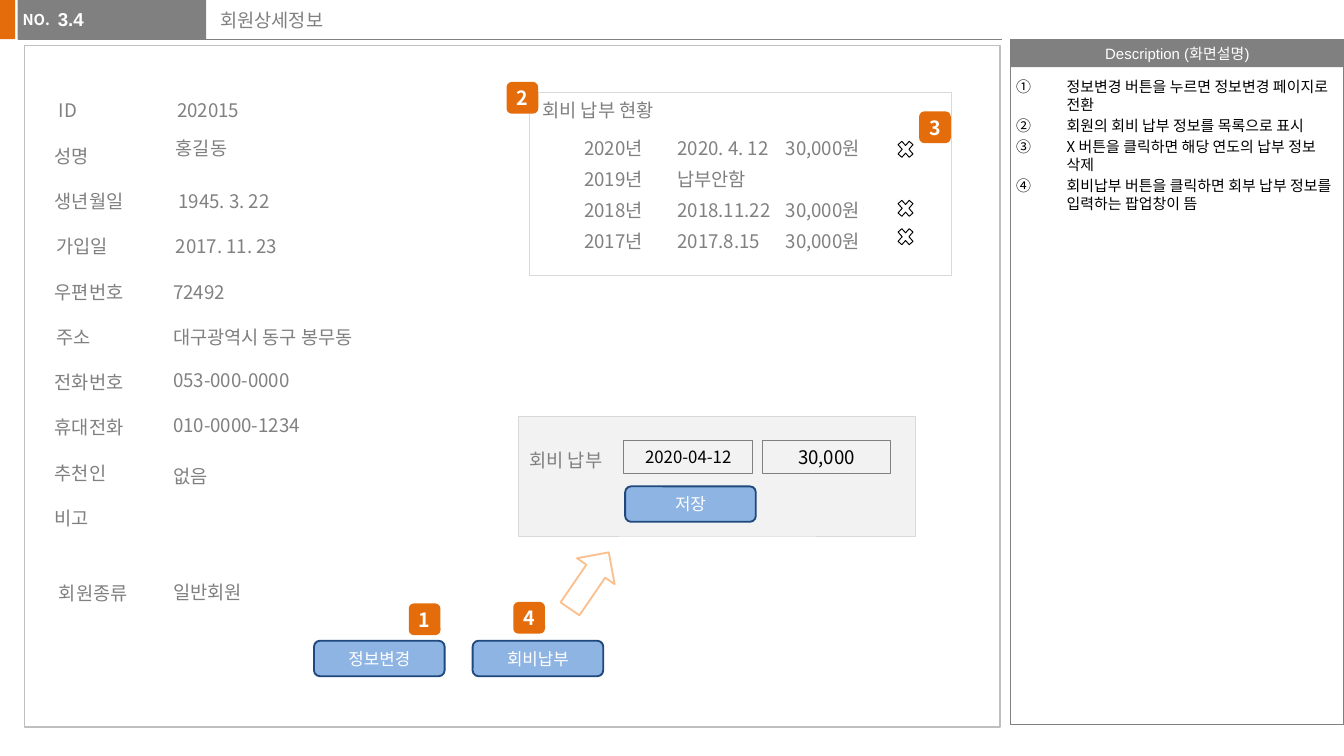
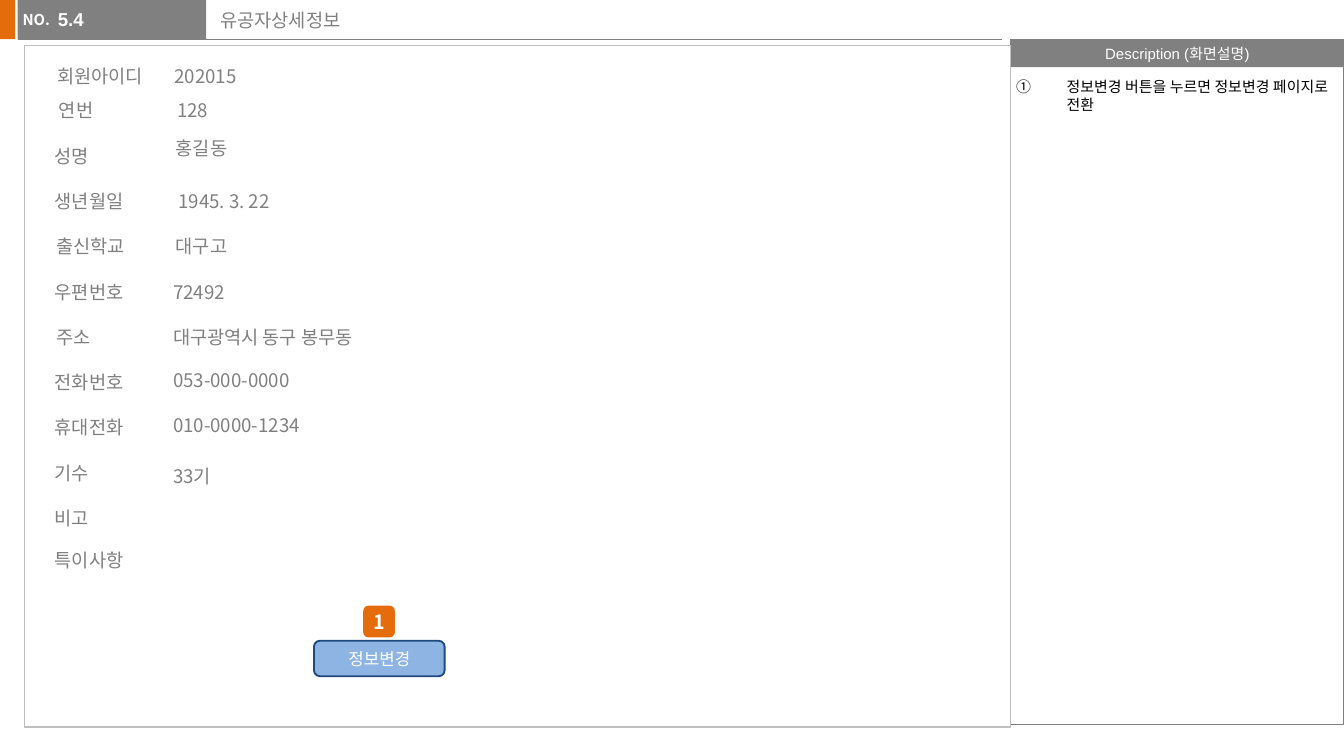
from lxml import etree
from pptx import Presentation
from pptx.dml.color import RGBColor
from pptx.enum.shapes import MSO_CONNECTOR, MSO_SHAPE
from pptx.enum.text import MSO_ANCHOR, MSO_AUTO_SIZE, PP_ALIGN
from pptx.oxml.ns import qn
from pptx.util import Pt

RECT, ROUNDED = MSO_SHAPE.RECTANGLE, MSO_SHAPE.ROUNDED_RECTANGLE
CROSS, ARROW = MSO_SHAPE.MATH_MULTIPLY, MSO_SHAPE.RIGHT_ARROW
STRAIGHT = MSO_CONNECTOR.STRAIGHT
TOP, MIDDLE = MSO_ANCHOR.TOP, MSO_ANCHOR.MIDDLE
LEFT, CENTER = PP_ALIGN.LEFT, PP_ALIGN.CENTER
GROW = MSO_AUTO_SIZE.SHAPE_TO_FIT_TEXT

ORANGE = RGBColor(0xE4, 0x6C, 0x0A)
PEACH = RGBColor(0xFA, 0xC0, 0x90)
GRAY = RGBColor(0x80, 0x80, 0x80)
SILVER = RGBColor(0xBF, 0xBF, 0xBF)
LIGHT = RGBColor(0xD9, 0xD9, 0xD9)
PALE = RGBColor(0xF2, 0xF2, 0xF2)
BLUE = RGBColor(0x8E, 0xB4, 0xE3)
NAVY = RGBColor(0x1F, 0x49, 0x7D)
WHITE = RGBColor(0xFF, 0xFF, 0xFF)
BLACK = RGBColor(0x00, 0x00, 0x00)

KOREAN, LATIN = "Noto Sans CJK KR", "Arial"
PLAIN_INSETS = (7.2, 3.6, 7.2, 3.6)
FLAT_INSETS = (0, 3.6, 0, 3.6)

HEADER_BOX = (0, 0, 537, 21)
NOTES_BOX = (541.5, 21, 178.5, 367)
SCREEN_LEFT, SCREEN_TOP, SCREEN_HEIGHT = 13, 24.5, 365
FIELD_TOP, FIELD_PITCH = 25.2, 24.25
LABEL_LEFT, VALUE_LEFT = 9.3, 72.7
BUTTON_SIZE = (70, 19)
BADGE_SIZE = 17

# label, value, row, label shift, value shift, value drop, value width
SHARED_FIELDS = [
    ("성명", "홍길동", 1, 0, 1.4, -4, 73),
    ("생년월일", "1945. 3. 22", 2, 0, 2.9, 0, 73),
    ("우편번호", "72492", 4, 0, 0, 0, 73),
    ("주소", "대구광역시 동구 봉무동", 5, 0.7, 0, 0, 161),
    ("전화번호", "053-000-0000", 6, 0, 0, -1, 93),
    ("휴대전화", "010-0000-1234", 7, 0, 0, -1, 93),
    ("비고", "", 9, 0, 0, 0, 73),
]
MEMBER_FIELDS = SHARED_FIELDS + [
    ("ID", "202015", 0, 2.2, 2.1, 0, 73),
    ("가입일", "2017. 11. 23", 3, 0.7, 1.4, 0, 73),
    ("추천인", "없음", 8, 0, 0, 2, 73),
    ("회원종류", "일반회원", 10.66, 2.2, 0, -0.8, 73),
]
HONOREE_FIELDS = SHARED_FIELDS + [
    ("회원아이디", "202015", -0.77, 1.4, 0.7, 0, 73),
    ("연번", "128", 0, 2.2, 2.1, 0, 73),
    ("출신학교", "대구고", 3, 0.7, 1.4, 0, 73),
    ("기수", "33기", 8, 0, 0, 2, 73),
    ("특이사항", "", 9.92, 0, 0, 0, 73),
]
FEE_ROWS = [
    "2020년\t2020. 4. 12\t30,000원",
    "2019년\t납부안함",
    "2018년\t2018.11.22\t30,000원",
    "2017년\t2017.8.15\t30,000원",
]
CHANGE_NOTE = "정보변경 버튼을 누르면 정보변경 페이지로 전환"
MEMBER_NOTES = [
    CHANGE_NOTE,
    "회원의 회비 납부 정보를 목록으로 표시",
    "X 버튼을 클릭하면 해당 연도의 납부 정보 삭제",
    "회비납부 버튼을 클릭하면 회부 납부 정보를 입력하는 팝업창이 뜸",
]


def inside(box, left, top, width, height):
    """Turn a position relative to a box into one on the slide."""
    return box[0] + left, box[1] + top, width, height


def write(shape, lines, size=10, color=GRAY, font=KOREAN, bold=False, align=LEFT,
          anchor=TOP, insets=PLAIN_INSETS, wrap=True, before=0):
    frame = shape.text_frame
    frame.word_wrap = wrap
    frame.vertical_anchor = anchor
    for side, inset in zip(("left", "top", "right", "bottom"), insets):
        setattr(frame, f"margin_{side}", Pt(inset))
    for index, line in enumerate(lines):
        para = frame.add_paragraph() if index else frame.paragraphs[0]
        para.alignment = align
        para.space_before = Pt(before)
        span = para.add_run()
        span.text = line
        for name, value in {"size": Pt(size), "bold": bold, "name": font}.items():
            setattr(span.font, name, value)
        span.font.color.rgb = color
        etree.SubElement(span.font._element, qn("a:ea"), typeface=KOREAN)
    return frame


def add_text(page, box, lines, grow=False, **style):
    shape = page.shapes.add_textbox(*map(Pt, box))
    frame = write(shape, lines, **style)
    if grow:
        frame.auto_size = GROW
    return frame


def add_label(page, box, text):
    return add_text(page, box, [text], grow=True)


def add_box(page, box, fill=None, line=None, weight=0.5, kind=RECT):
    shape = page.shapes.add_shape(kind, *map(Pt, box))
    shape.shadow.inherit = False
    if fill is None:
        shape.fill.background()
    else:
        shape.fill.solid()
        shape.fill.fore_color.rgb = fill
    if line is None:
        shape.line.fill.background()
    else:
        shape.line.color.rgb = line
        shape.line.width = Pt(weight)
    return shape


def add_button(page, box, left, top, text):
    shape = add_box(page, inside(box, left, top, *BUTTON_SIZE), BLUE, NAVY, 1, ROUNDED)
    write(shape, [text], size=9, color=WHITE, align=CENTER, anchor=MIDDLE)


def add_badge(page, box, left, top, number):
    shape = add_box(page, inside(box, left, top, BADGE_SIZE, BADGE_SIZE), ORANGE, kind=ROUNDED)
    write(shape, [str(number)], size=10.5, color=WHITE, bold=True, align=CENTER,
          anchor=MIDDLE, insets=FLAT_INSETS)


def add_header(page, box, number, title):
    left, top, width, height = box
    add_box(page, inside(box, -0.5, 0, 8.6, height), ORANGE)
    rule = page.shapes.add_connector(
        STRAIGHT, Pt(left + 9.4), Pt(top + height), Pt(left + width), Pt(top + height))
    rule.line.color.rgb = GRAY
    rule.line.width = Pt(0.5)
    etree.SubElement(rule._element.spPr, qn("a:effectLst"))
    add_box(page, inside(box, 9.4, 0, 101, height), GRAY)
    add_text(page, inside(box, 5, 2.2, 29.5, 17), ["NO."], grow=True, size=8,
             color=WHITE, bold=True, wrap=False)
    add_text(page, inside(box, 111, 1.4, 425.5, 23), [title])
    add_text(page, inside(box, 31, 0.7, 79, 22.3), [number], color=WHITE, font=LATIN,
             bold=True, insets=FLAT_INSETS, before=2)


def add_notes_panel(page, box, notes):
    width, height = box[2:]
    heading = add_box(page, inside(box, 0, 0, width, 15), GRAY)
    write(heading, ["Description (화면설명)"], size=8, color=WHITE, font=LATIN,
          align=CENTER, anchor=MIDDLE, insets=(6.5, 2.9, 6.5, 2.9), wrap=False, before=4)
    add_box(page, box, line=GRAY, weight=0.75)
    frame = add_text(page, inside(box, 0, 17.2, width, 351), notes, size=8, color=BLACK,
                     insets=(2.9, 3.6, 0, 3.6), before=1.6)
    for para in frame.paragraphs:
        properties = para._p.get_or_add_pPr()
        properties.set("marL", str(Pt(27)))
        properties.set("indent", str(Pt(-27)))
        etree.SubElement(properties, qn("a:buFont"), typeface=KOREAN)
        etree.SubElement(properties, qn("a:buAutoNum"), type="circleNumDbPlain")


def add_screen(page, box):
    shape = add_box(page, box, WHITE, SILVER, 0.75)
    color = shape.fill._xPr.find(qn("a:solidFill"))[0]
    etree.SubElement(color, qn("a:alpha"), val="70000")


def add_fields(page, box, fields):
    for label, value, row, label_shift, value_shift, drop, width in fields:
        top = FIELD_TOP + row * FIELD_PITCH
        add_label(page, inside(box, LABEL_LEFT + label_shift, top, 73, 19.4), label)
        if value:
            place = inside(box, VALUE_LEFT + value_shift, top + drop, width, 19.4)
            add_label(page, place, value)


def add_fee_list(page, box):
    add_label(page, inside(box, 0, 0, 89, 19.4), "회비 납부 현황")
    for index, row in enumerate(FEE_ROWS):
        frame = add_label(page, inside(box, 22.3, 20.2 + index * 16.5, 169, 19.4), row)
        properties = frame.paragraphs[0]._p.get_or_add_pPr()
        stops = etree.SubElement(properties, qn("a:tabLst"))
        for position in (50, 108):
            etree.SubElement(stops, qn("a:tab"), pos=str(Pt(position)), algn="l")
    add_box(page, box, line=LIGHT)
    for top in (23.8, 55.4, 70.6):
        add_box(page, inside(box, 195.8, top, 11.5, 13), line=BLACK, kind=CROSS)
    add_badge(page, box, -12.2, -5.8, 2)
    add_badge(page, box, 208.8, 10, 3)


def add_payment_popup(page, box):
    add_box(page, box, PALE, LIGHT)
    add_label(page, inside(box, -1.4, 13.7, 61, 19.4), "회비 납부")
    for left, text, size in ((56.2, "2020-04-12", 9), (130.3, "30,000", 10)):
        entry = add_box(page, inside(box, left, 13, 69, 17.3), line=GRAY)
        write(entry, [text], size=size, color=BLACK, align=CENTER, anchor=MIDDLE)
    add_button(page, box, 56.9, 37.4, "저장")
    arrow = add_box(page, inside(box, 19.4, 75.6, 36.7, 24.5), line=PEACH, weight=1, kind=ARROW)
    arrow.rotation = 304.5


def add_page(deck, number, title, notes, fields, screen_width):
    """Add a slide with the shared frame and return it with its screen box."""
    page = deck.slides.add_slide(deck.slide_layouts[6])
    screen = (SCREEN_LEFT, SCREEN_TOP, screen_width, SCREEN_HEIGHT)
    add_header(page, HEADER_BOX, number, title)
    add_notes_panel(page, NOTES_BOX, notes)
    add_screen(page, screen)
    add_fields(page, screen, fields)
    add_button(page, screen, 155.2, 318.8, "정보변경")
    return page, screen


def add_member_page(deck):
    page, screen = add_page(deck, "3.4", "회원상세정보", MEMBER_NOTES, MEMBER_FIELDS, 522.7)
    add_badge(page, screen, 206, 298.8, 1)
    add_button(page, screen, 240.2, 318.8, "회비납부")
    add_fee_list(page, inside(screen, 270.6, 25.2, 226, 97.7))
    add_payment_popup(page, inside(screen, 265, 198.7, 212.6, 64))
    add_badge(page, screen, 262, 298, 4)


def add_honoree_page(deck):
    page, screen = add_page(deck, "5.4", "유공자상세정보", [CHANGE_NOTE], HONOREE_FIELDS, 528.5)
    add_badge(page, screen, 181.6, 300, 1)


def main():
    deck = Presentation()
    deck.slide_width, deck.slide_height = Pt(720), Pt(405)
    add_member_page(deck)
    add_honoree_page(deck)
    deck.save("out.pptx")


if __name__ == "__main__":
    main()
